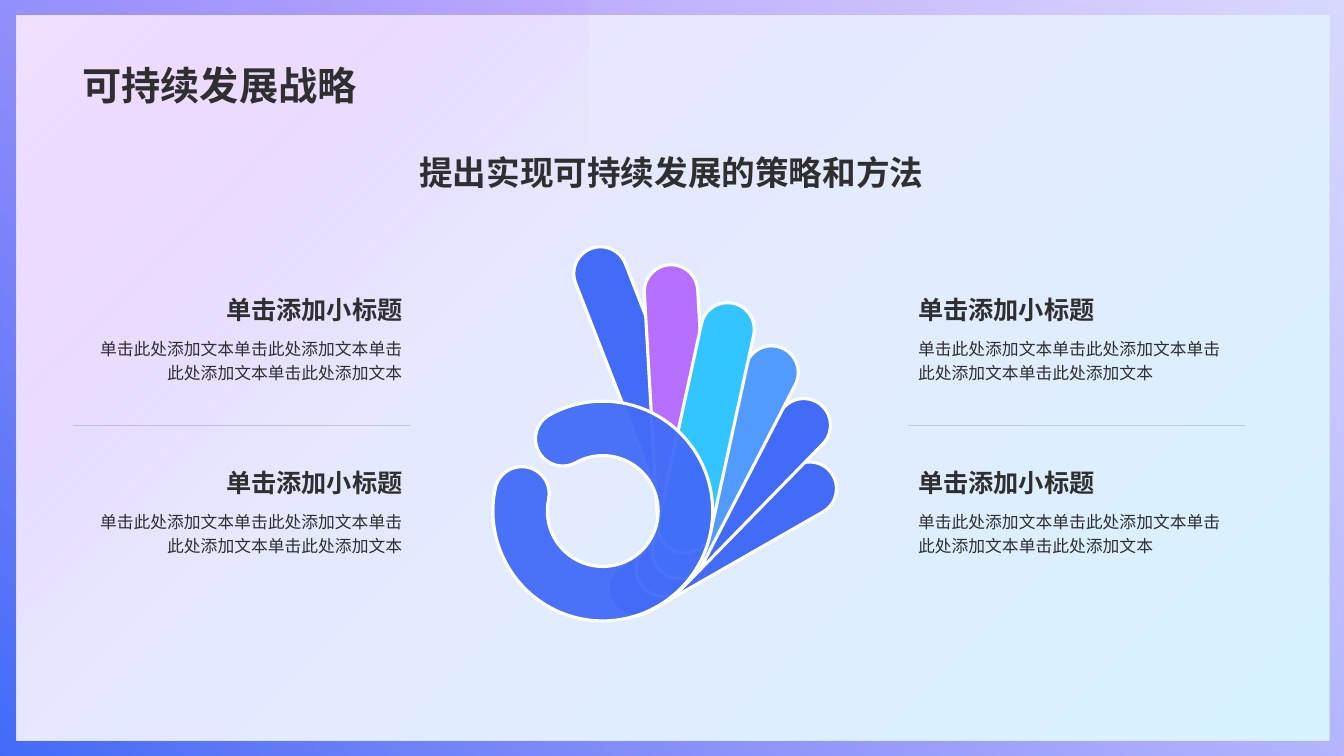
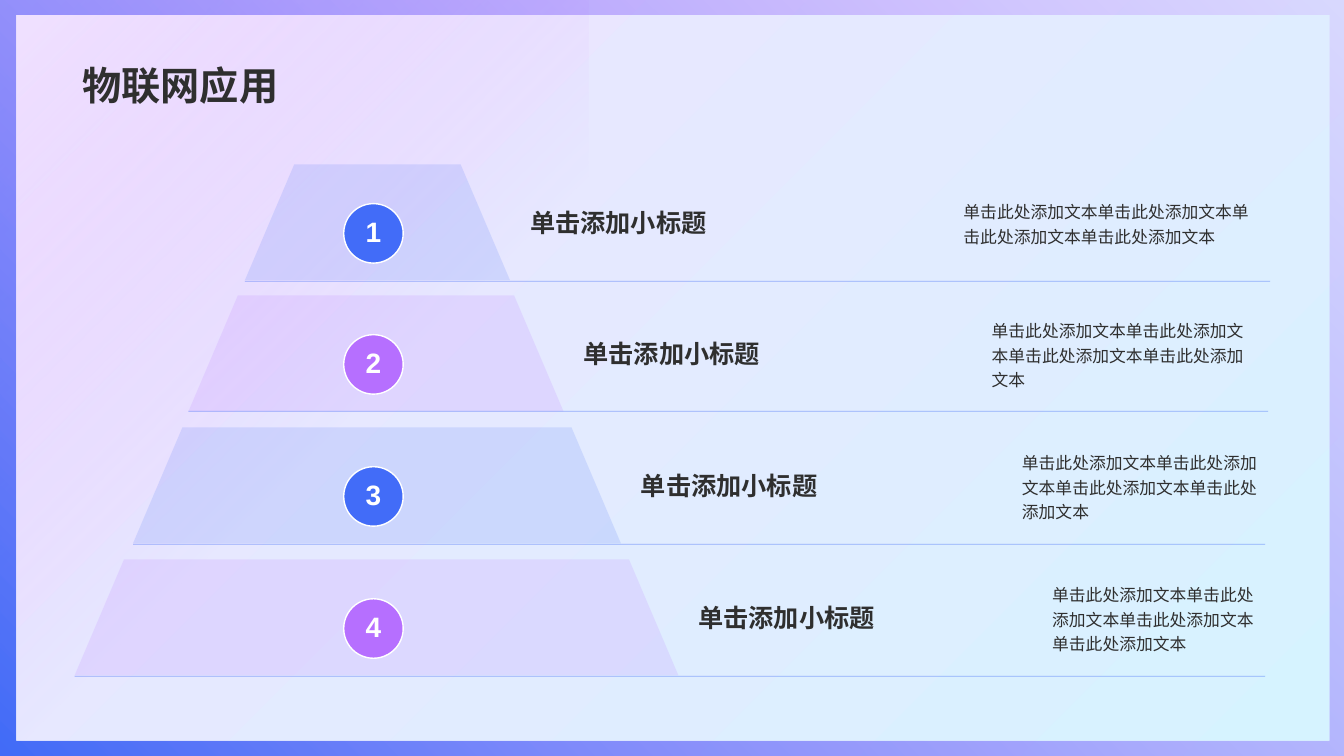
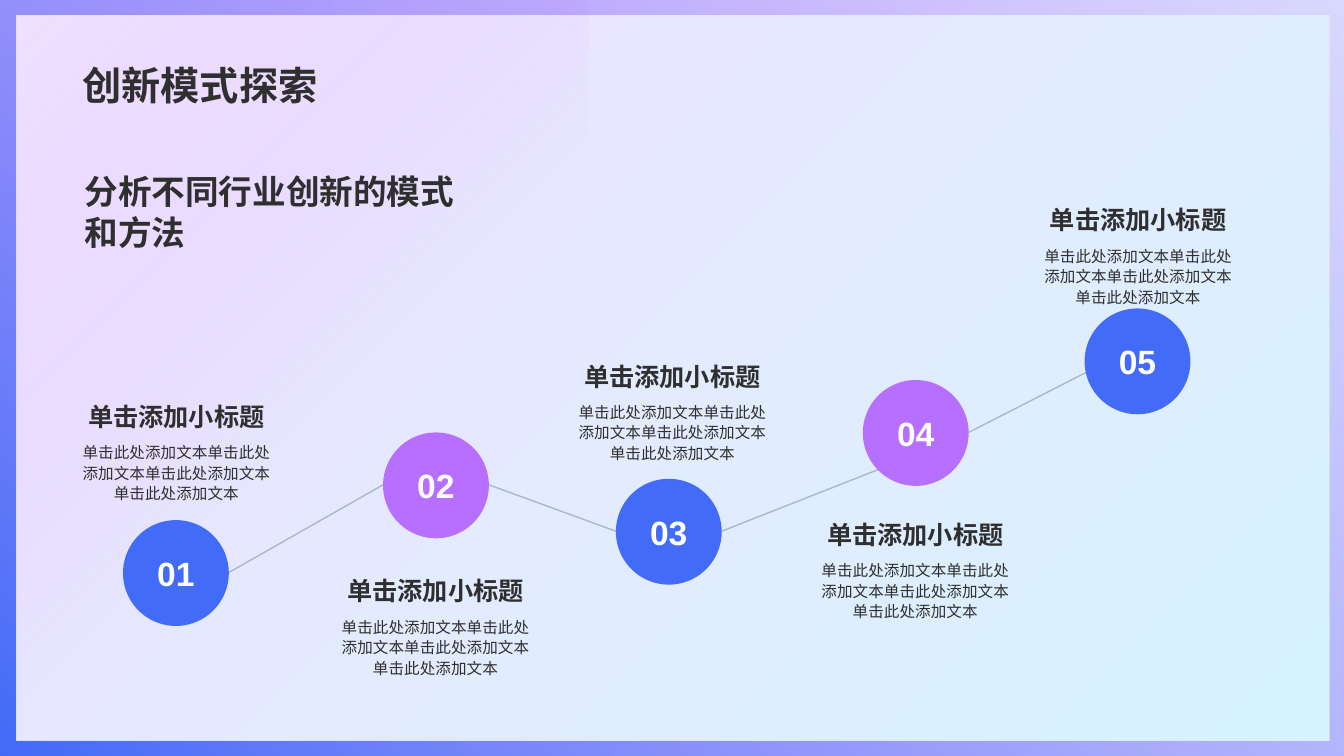
from math import cos, radians, sin

from lxml.etree import SubElement
from pptx import Presentation
from pptx.dml.color import RGBColor
from pptx.enum.shapes import MSO_CONNECTOR, MSO_SHAPE
from pptx.enum.text import MSO_ANCHOR, PP_ALIGN
from pptx.oxml.ns import qn
from pptx.util import Pt

PX = 9144  # 100 px to the inch
WIDTH, HEIGHT = 1333.33, 750
FONT = "Arial"
COLORS = {
    "blue": "426CF8", "purple": "B66FFF", "sky": "519BFF", "cyan": "32C5FF",
    "white": "FFFFFF", "ink": "2F2F2F", "gray": "778495",
    "lilac": "F0E2FF", "ice": "D6F3FF", "pink": "E2C5FF",
}
STYLES = {
    "title": {"size": 28, "bold": True, "anchor": MSO_ANCHOR.BOTTOM},
    "lead": {"size": 24, "bold": True},
    "heading": {"size": 18, "bold": True, "anchor": MSO_ANCHOR.BOTTOM},
    "level": {"size": 18, "bold": True, "anchor": MSO_ANCHOR.MIDDLE},
    "body": {"size": 12, "spacing": 1.2},
    "level_body": {"size": 12, "spacing": 1.2, "anchor": MSO_ANCHOR.MIDDLE},
    "caption": {"size": 11.1, "spacing": 1.1},
    "number": {"size": 20, "bold": True, "spacing": 0.9, "color": "white",
               "anchor": MSO_ANCHOR.MIDDLE},
    "big_number": {"size": 24, "bold": True, "color": "white", "wrap": False,
                   "anchor": MSO_ANCHOR.MIDDLE},
}

HEADING = "单击添加小标题"
BODY = "单击此处添加文本" * 4

# Hand: left, top, width, rotation, color
FINGER_HEIGHT = 53
FINGERS = [
    (496, 352, 283, 68.7, "blue"),
    (536, 372, 272, 86.7, "purple"),
    (590, 508, 253, 150.2, "blue"),
    (601, 467, 253, 134.3, "blue"),
    (593, 432, 253, 117.3, "sky"),
    (574, 398, 253, 102.3, "cyan"),
]
RING = {"left": 489, "top": 398, "outer": 109, "inner": 55, "start": 241, "sweep": 311}
# Columns: text left, divider left, alignment
COLUMNS = [(74, 73, PP_ALIGN.RIGHT), (901, 901, PP_ALIGN.LEFT)]
ROW_TOPS = [290, 462]

# Pyramid: top, line y, left, right, body left, body width, line end, color
LEVELS = [
    (163, 279, 243, 506, 946, 309, 1260, "blue"),
    (293, 408, 187, 559, 974, 283, 1258, "purple"),
    (424, 540, 132, 616, 1004, 254, 1255, "blue"),
    (555, 671, 74, 673, 1034, 225, 1255, "purple"),
]
LEVEL_HEIGHT, LEVEL_SLANT = 115, 49

# Path: circle left, circle top, caption left, caption top, link entry, color
NODE_SIZE = 105
NODES = [
    (122, 516, 70, 363, (0, 52), "blue"),
    (380, 429, 327, 536, (0, 52), "purple"),
    (611, 475, 562, 323, (0, 52), "blue"),
    (856, 377, 803, 480, (15, 89), "purple"),
    (1076, 306, 1024, 168, (24, 52), "blue"),
]


def emu(*lengths):
    return [round(length * PX) for length in lengths]


def rgb(name):
    return RGBColor.from_string(COLORS[name])


def fade(node, *opacities):
    """Give the colors inside node, in order, their opacity in percent."""
    for color, opacity in zip(list(node.iter(qn("a:srgbClr"))), opacities):
        SubElement(color, qn("a:alpha"), val=str(opacity * 1000))


def set_gradient(fill, angle, *stops):
    fill.gradient()
    fill.gradient_angle = angle
    for stop, (position, color) in zip(fill.gradient_stops, stops):
        stop.position = position
        stop.color.rgb = rgb(color)


def write(shape, text, style, align=PP_ALIGN.LEFT):
    look = STYLES[style]
    frame = shape.text_frame
    frame.word_wrap = look.get("wrap", True)
    frame.vertical_anchor = look.get("anchor", MSO_ANCHOR.TOP)
    para = frame.paragraphs[0]
    para.alignment = align
    para.line_spacing = look.get("spacing", 1.0)
    span = para.add_run()
    span.text = text
    font_values = {"name": FONT, "size": Pt(look["size"]), "bold": look.get("bold", False)}
    for name, value in font_values.items():
        setattr(span.font, name, value)
    span.font.color.rgb = rgb(look.get("color", "ink"))
    properties = span.font._element
    properties.set("lang", "zh-CN")
    SubElement(properties, qn("a:ea"), typeface=FONT)


def add_text(page, box, text, style, align=PP_ALIGN.LEFT):
    write(page.shapes.add_textbox(*emu(*box)), text, style, align)


def paint(shape, color=None, outline=0, opacity=100):
    """Fill in one color, with a white outline of the given points or none."""
    shape.shadow.inherit = False
    if color:
        shape.fill.solid()
        shape.fill.fore_color.rgb = rgb(color)
    if opacity < 100:
        fade(shape.element.spPr, opacity)
    if outline:
        shape.line.color.rgb = rgb("white")
        shape.line.width = Pt(outline)
    else:
        shape.line.fill.background()


def add_shape(page, kind, box, color=None, outline=0, opacity=100):
    shape = page.shapes.add_shape(kind, *emu(*box))
    paint(shape, color, outline, opacity)
    return shape


def add_line(page, start, end, color, width):
    line = page.shapes.add_connector(MSO_CONNECTOR.STRAIGHT, *emu(*start, *end))
    line.line.color.rgb = rgb(color)
    line.line.width = Pt(width)
    properties = line._element.spPr
    fade(properties, 50)
    SubElement(properties, qn("a:effectLst"))


def add_page(deck, title):
    page = deck.slides.add_slide(deck.slide_layouts[6])
    add_text(page, (72, 14, 1188, 98), title, "title")
    return page


def decorate_master(deck):
    """Put background, glow and border on the master; shapes are drafted on a slide."""
    master, page = deck.slide_master, deck.slides[0]
    set_gradient(master.background.fill, 315, (0, "lilac"), (1, "ice"))
    glow = add_shape(page, MSO_SHAPE.RECTANGLE, (0, 0, 584, HEIGHT))
    set_gradient(glow.fill, 315, (0, "lilac"), (0.57, "pink"))
    fade(glow.element.spPr, 100, 0)
    border = add_shape(page, MSO_SHAPE.FRAME, (0, 0, WIDTH, HEIGHT))
    border.adjustments[0] = 0.021
    set_gradient(border.fill, 45, (0, "blue"), (1, "purple"))
    fade(border.element.spPr, 100, 16)
    for number, shape in enumerate((glow, border), 20):
        shape.element.nvSpPr.cNvPr.set("id", str(number))
        master.shapes._spTree.append(shape.element)


def add_ring(page):
    """Open ring with a round cap at both ends, drawn as four arcs."""
    left, top, outer, inner, start, sweep = RING.values()
    size, cap, end = 2 * outer, (outer - inner) / 2, start + sweep
    builder = page.shapes.build_freeform(*emu(left, top))
    builder.add_line_segments([emu(left + size, top), emu(left + size, top + size),
                               emu(left, top + size)])
    ring = builder.convert_to_shape()
    outline = next(ring.element.iter(qn("a:path")))
    for part in list(outline):
        outline.remove(part)
    x, y = emu(outer + outer * cos(radians(start)), outer + outer * sin(radians(start)))
    SubElement(SubElement(outline, qn("a:moveTo")), qn("a:pt"), x=str(x), y=str(y))
    arcs = [(outer, start, sweep), (cap, end, 180), (inner, end, -sweep),
            (cap, start + 180, 180)]
    for radius, angle, turn in arcs:
        length = str(emu(radius)[0])
        SubElement(outline, qn("a:arcTo"), wR=length, hR=length,
                   stAng=str(angle % 360 * 60000), swAng=str(turn * 60000))
    SubElement(outline, qn("a:close"))
    paint(ring, "blue", 2.25, 95)


def build_strategy(deck):
    page = add_page(deck, "可持续发展战略")
    for left, top, width, rotation, color in FINGERS:
        finger = add_shape(page, MSO_SHAPE.ROUNDED_RECTANGLE,
                           (left, top, width, FINGER_HEIGHT), color, 2.25)
        finger.adjustments[0] = 0.5
        finger.rotation = rotation
    add_ring(page)
    add_text(page, (72, 146, 1188, 71), "提出实现可持续发展的策略和方法", "lead",
             PP_ALIGN.CENTER)
    for left, line_left, align in COLUMNS:
        add_line(page, (line_left, 422), (line_left + 334, 422), "gray", 0.25)
        for top in ROW_TOPS:
            add_text(page, (left, top + 37, 335, 68), BODY, "body", align)
            add_text(page, (left, top, 335, 37), HEADING, "heading", align)


def build_pyramid(deck):
    page = add_page(deck, "物联网应用")
    for number, level in enumerate(LEVELS, 1):
        top, line_y, left, right, body_left, body_width, line_end, color = level
        slab = add_shape(page, MSO_SHAPE.TRAPEZOID,
                         (left, top, right - left, LEVEL_HEIGHT), color, opacity=15)
        slab.adjustments[0] = LEVEL_SLANT / LEVEL_HEIGHT
        add_line(page, (left, line_y), (line_end, line_y), "blue", 0.5)
        badge = add_shape(page, MSO_SHAPE.OVAL, (341, top + 39, 59, 59), color, 1)
        write(badge, str(number), "number", PP_ALIGN.CENTER)
        add_text(page, (body_left, top, body_width, LEVEL_HEIGHT), BODY, "level_body")
        add_text(page, (right + 10, top, 379, LEVEL_HEIGHT), HEADING, "level")


def build_path(deck):
    page = add_page(deck, "创新模式探索")
    for (left, top, *_), (next_left, next_top, _, _, entry, _) in zip(NODES, NODES[1:]):
        add_line(page, (left + NODE_SIZE, top + 52),
                 (next_left + entry[0], next_top + entry[1]), "gray", 1)
    for number, (left, top, text_left, text_top, _, color) in enumerate(NODES, 1):
        node = add_shape(page, MSO_SHAPE.OVAL, (left, top, NODE_SIZE, NODE_SIZE), color)
        write(node, f"{number:02}", "big_number", PP_ALIGN.CENTER)
        add_text(page, (text_left, text_top + 70, 210, 70), BODY, "caption", PP_ALIGN.CENTER)
        add_text(page, (text_left, text_top, 210, 70), HEADING, "heading", PP_ALIGN.CENTER)
    add_text(page, (74, 165, 411, 112), "分析不同行业创新的模式和方法", "lead")


def main():
    deck = Presentation()
    deck.slide_width, deck.slide_height = emu(WIDTH, HEIGHT)
    for build in (build_strategy, build_pyramid, build_path):
        build(deck)
    decorate_master(deck)
    deck.save("out.pptx")


if __name__ == "__main__":
    main()
